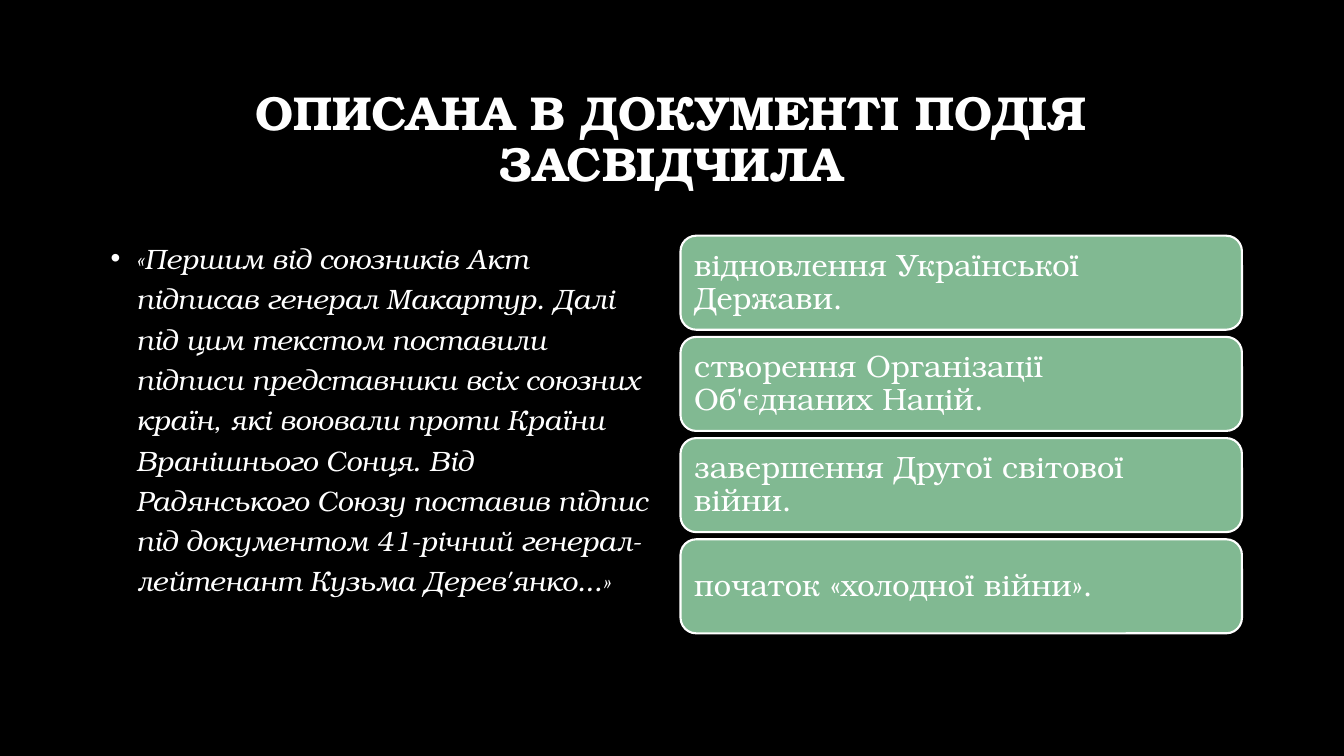
from lxml import etree
from pptx import Presentation
from pptx.dml.color import RGBColor
from pptx.enum.shapes import MSO_SHAPE
from pptx.enum.text import MSO_ANCHOR, MSO_AUTO_SIZE, PP_ALIGN
from pptx.oxml.ns import qn
from pptx.util import Cm, Pt

ROUNDED = MSO_SHAPE.ROUNDED_RECTANGLE
MIDDLE, TOP = MSO_ANCHOR.MIDDLE, MSO_ANCHOR.TOP
CENTER, LEFT = PP_ALIGN.CENTER, PP_ALIGN.LEFT
NO_AUTOFIT = MSO_AUTO_SIZE.NONE
TITLE_ONLY_LAYOUT = 5

FONT = "TeX Gyre Bonum"
BLACK, WHITE, GREEN = "000000", "FFFFFF", "81B992"

TITLE = "ОПИСАНА В ДОКУМЕНТІ ПОДІЯ ЗАСВІДЧИЛА"
QUOTE = (
    "«Першим від союзників Акт підписав генерал Макартур. Далі під цим текстом "
    "поставили підписи представники всіх союзних країн, які воювали проти Країни "
    "Вранішнього Сонця. Від Радянського Союзу поставив підпис під документом "
    "41-річний генерал-лейтенант Кузьма Дерев'янко...»"
)
ANSWERS = [
    "відновлення Української Держави.",
    "створення Організації Об'єднаних Націй.",
    "завершення Другої світової війни.",
    "початок «холодної війни».",
]

TITLE_FORMAT = {"size": Pt(34), "bold": True}
QUOTE_FORMAT = {"size": Pt(20), "italic": True}
ANSWER_FORMAT = {"size": Pt(22)}

ANSWER_LEFT, ANSWER_TOP = Cm(17.15), Cm(5.94)
ANSWER_WIDTH, ANSWER_HEIGHT = Cm(14.15), Cm(2.37)
ANSWER_STEP = Cm(2.55)
ANSWER_INSET = Cm(0.23)


def color(hex_value):
    return RGBColor.from_string(hex_value)


def set_attributes(target, values):
    for name, value in values.items():
        setattr(target, name, value)


def write_text(shape, text, font_format, alignment, anchor, line_spacing):
    """Fill the shape with one formatted paragraph and return that paragraph."""
    frame = shape.text_frame
    set_attributes(frame, {"word_wrap": True, "auto_size": NO_AUTOFIT,
                           "vertical_anchor": anchor})
    paragraph = frame.paragraphs[0]
    set_attributes(paragraph, {"alignment": alignment, "line_spacing": line_spacing})
    run = paragraph.add_run()
    run.text = text
    set_attributes(run.font, {"name": FONT, **font_format})
    run.font.color.rgb = color(WHITE)
    return paragraph


def add_bullet(paragraph, indent):
    properties = paragraph._p.get_or_add_pPr()
    properties.set("marL", str(indent))
    properties.set("indent", str(-indent))
    etree.SubElement(properties, qn("a:buFont")).set("typeface", "Arial")
    etree.SubElement(properties, qn("a:buChar")).set("char", "•")


def format_title(slide):
    title = slide.shapes.title
    set_attributes(title, {"left": Cm(2.54), "top": Cm(1.7),
                           "width": Cm(28.75), "height": Cm(3.68)})
    write_text(title, TITLE, TITLE_FORMAT, CENTER, MIDDLE, 0.9)


def add_quote(slide):
    box = slide.shapes.add_textbox(Cm(2.54), Cm(5.79), Cm(14.17), Cm(10.29))
    paragraph = write_text(box, QUOTE, QUOTE_FORMAT, LEFT, TOP, 1.2)
    add_bullet(paragraph, Cm(0.64))


def add_answer(slide, text, top):
    card = slide.shapes.add_shape(ROUNDED, ANSWER_LEFT, top, ANSWER_WIDTH, ANSWER_HEIGHT)
    card.shadow.inherit = False
    card.fill.solid()
    card.fill.fore_color.rgb = color(GREEN)
    card.line.color.rgb = color(WHITE)
    card.line.width = Pt(1.5)
    for side in ("left", "top", "right", "bottom"):
        setattr(card.text_frame, f"margin_{side}", ANSWER_INSET)
    write_text(card, text, ANSWER_FORMAT, LEFT, MIDDLE, 0.9)


def main():
    presentation = Presentation()
    presentation.slide_width = Cm(33.87)
    presentation.slide_height = Cm(19.05)
    slide = presentation.slides.add_slide(presentation.slide_layouts[TITLE_ONLY_LAYOUT])
    slide.background.fill.solid()
    slide.background.fill.fore_color.rgb = color(BLACK)
    format_title(slide)
    add_quote(slide)
    for index, answer in enumerate(ANSWERS):
        add_answer(slide, answer, ANSWER_TOP + index * ANSWER_STEP)
    presentation.save("out.pptx")


if __name__ == "__main__":
    main()
